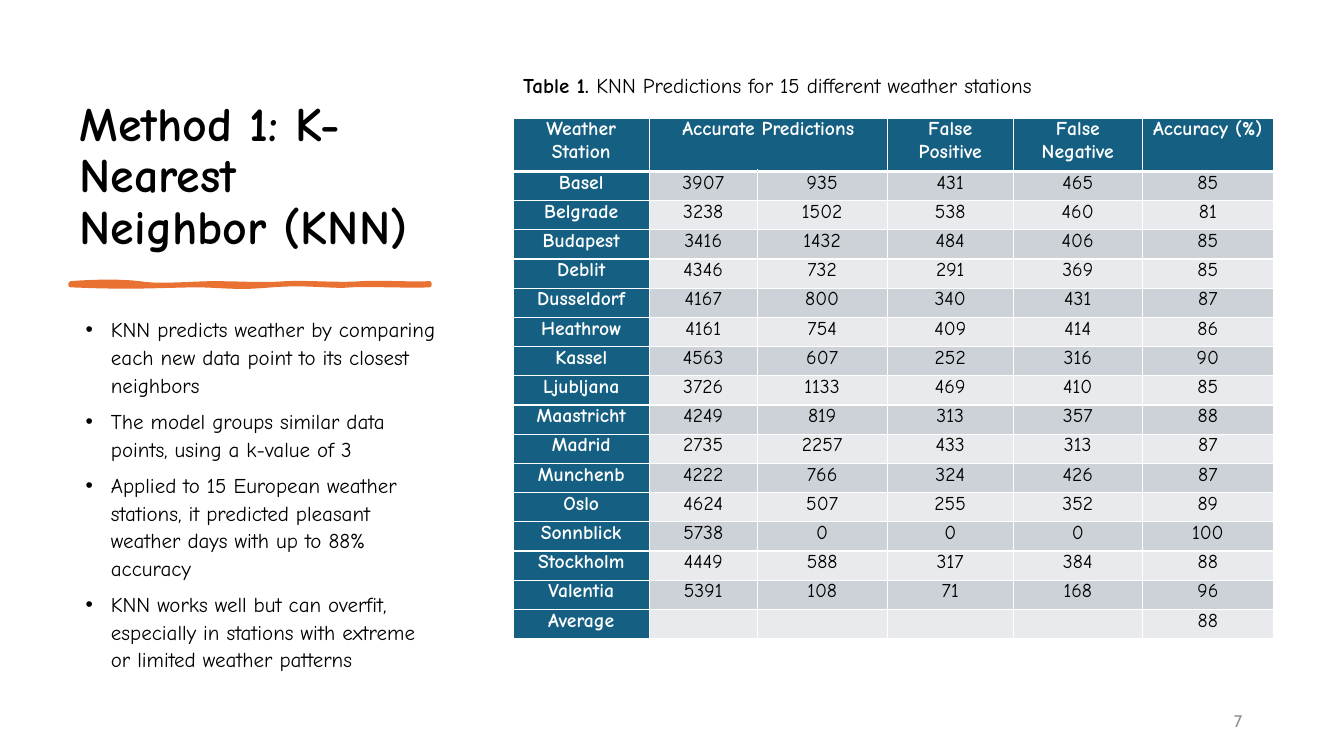
from dataclasses import dataclass
from typing import Optional

from lxml.etree import SubElement
from pptx import Presentation
from pptx.dml.color import RGBColor
from pptx.enum.text import MSO_ANCHOR, MSO_AUTO_SIZE, PP_ALIGN
from pptx.oxml.ns import qn
from pptx.util import Emu, Pt

PX = 9144  # 100 px to the inch
FONT = "Comic Neue"
BLACK, WHITE, GREY = "000000", "FFFFFF", "8C8C8C"
ORANGE, TEAL = "E97132", "156082"
BANDS = ("CCD2D8", "E8EAED")


@dataclass
class Box:
    left: int
    top: int
    width: int
    height: int

    def emu(self) -> list[Emu]:
        return [px(v) for v in (self.left, self.top, self.width, self.height)]


@dataclass
class Style:
    size: float
    color: str = BLACK
    bold: bool = False
    font: str = FONT


@dataclass
class Station:
    name: str
    values: tuple[Optional[int], ...]


TITLE = "Method 1: K-Nearest Neighbor (KNN)"
BULLETS = (
    "KNN predicts weather by comparing each new data point to its closest neighbors",
    "The model groups similar data points, using a k-value of 3",
    "Applied to 15 European weather stations, it predicted pleasant weather days "
    "with up to 88% accuracy",
    "KNN works well but can overfit, especially in stations with extreme or limited "
    "weather patterns",
)
HEADERS = ("Weather Station", "Accurate Predictions", "", "False Positive",
           "False Negative", "Accuracy (%)")
COLUMNS = (135, 107, 129, 125, 128, 130)
HEADER_HEIGHT, ROW_HEIGHT = 53, 29
STATIONS = (
    Station("Basel", (3907, 935, 431, 465, 85)),
    Station("Belgrade", (3238, 1502, 538, 460, 81)),
    Station("Budapest", (3416, 1432, 484, 406, 85)),
    Station("Deblit", (4346, 732, 291, 369, 85)),
    Station("Dusseldorf", (4167, 800, 340, 431, 87)),
    Station("Heathrow", (4161, 754, 409, 414, 86)),
    Station("Kassel", (4563, 607, 252, 316, 90)),
    Station("Ljubljana", (3726, 1133, 469, 410, 85)),
    Station("Maastricht", (4249, 819, 313, 357, 88)),
    Station("Madrid", (2735, 2257, 433, 313, 87)),
    Station("Munchenb", (4222, 766, 324, 426, 87)),
    Station("Oslo", (4624, 507, 255, 352, 89)),
    Station("Sonnblick", (5738, 0, 0, 0, 100)),
    Station("Stockholm", (4449, 588, 317, 384, 88)),
    Station("Valentia", (5391, 108, 71, 168, 96)),
    Station("Average", (None, None, None, None, 88)),
)
# Bezier points of the brush stroke: a start, then three points per curve
STROKE = (
    (70, 281), (97, 279), (121, 279), (138, 281), (155, 284), (177, 282), (209, 281),
    (241, 281), (260, 283), (284, 281), (308, 280), (339, 283), (359, 281),
    (379, 280), (412, 282), (426, 281), (426, 282), (426, 283), (426, 283),
    (408, 284), (364, 282), (348, 283), (332, 285), (304, 280), (270, 283),
    (235, 286), (231, 284), (199, 283), (166, 283), (132, 286), (70, 283),
)


def px(value: float) -> Emu:
    return Emu(round(value * PX))


def rgb(color: str) -> RGBColor:
    return RGBColor.from_string(color)


def style_run(r, style: Style) -> None:
    r.font.name, r.font.size, r.font.bold = style.font, Pt(style.size), style.bold
    r.font.color.rgb = rgb(style.color)


def place(sp, box: Box) -> None:
    sp.left, sp.top, sp.width, sp.height = box.emu()


def add_text(s, box: Box, parts: dict[str, Style]):
    """Add a one-paragraph text box and return its text frame."""
    tf = s.shapes.add_textbox(*box.emu()).text_frame
    tf.word_wrap = True
    for text, style in parts.items():
        r = tf.paragraphs[0].add_run()
        r.text = text
        style_run(r, style)
    return tf


def fill_title(sp) -> None:
    place(sp, Box(69, 70, 375, 188))
    tf = sp.text_frame
    tf.text = TITLE
    tf.auto_size = MSO_AUTO_SIZE.NONE
    tf.vertical_anchor = MSO_ANCHOR.BOTTOM
    p = tf.paragraphs[0]
    p.alignment, p.line_spacing = PP_ALIGN.LEFT, 0.9
    style_run(p.runs[0], Style(34.2, bold=True))


def fill_bullets(sp) -> None:
    place(sp, Box(69, 307, 375, 414))
    tf = sp.text_frame
    tf.text = "\n".join(BULLETS)
    tf.auto_size = MSO_AUTO_SIZE.NONE
    for p in tf.paragraphs:
        p.line_spacing, p.space_before, p.space_after = 1.1, Pt(0), Pt(6)
        pPr = p._p.get_or_add_pPr()
        pPr.set("marL", str(px(31)))
        pPr.set("indent", str(px(-25)))
        SubElement(pPr, qn("a:buFont"), typeface="Arial")
        SubElement(pPr, qn("a:buChar"), char="•")
        style_run(p.runs[0], Style(15))


def bezier(p0, p1, p2, p3, t: float) -> tuple[float, float]:
    u = 1 - t
    weights = (u ** 3, 3 * u * u * t, 3 * u * t * t, t ** 3)
    return tuple(sum(w * p[axis] for w, p in zip(weights, (p0, p1, p2, p3)))
                 for axis in (0, 1))


def draw_stroke(s, steps: int = 8) -> None:
    outline = [bezier(*STROKE[i:i + 4], n / steps)
               for i in range(0, len(STROKE) - 1, 3) for n in range(1, steps + 1)]
    start_x, start_y = STROKE[0]
    builder = s.shapes.build_freeform(px(start_x), px(start_y))
    builder.add_line_segments([(px(x), px(y)) for x, y in outline], close=True)
    sp = builder.convert_to_shape()
    sp.shadow.inherit = False
    sp.fill.solid()
    sp.fill.fore_color.rgb = rgb(ORANGE)
    sp.line.color.rgb = rgb(ORANGE)
    sp.line.width = Pt(3)


def format_cell(cell, text: str, style: Style, fill: str, bottom: float = 1) -> None:
    cell.margin_left = cell.margin_right = px(9)
    cell.margin_top = cell.margin_bottom = 0
    cell.text = text
    p = cell.text_frame.paragraphs[0]
    p.alignment = PP_ALIGN.CENTER
    for r in p.runs:
        style_run(r, style)
    if not text:
        SubElement(p._p, qn("a:endParaRPr"), sz=str(style.size * 100))
    tcPr = cell._tc.get_or_add_tcPr()
    for side, width in (("L", 1), ("R", 1), ("T", 1), ("B", bottom)):
        ln = SubElement(tcPr, qn(f"a:ln{side}"), w=str(Pt(width)))
        SubElement(SubElement(ln, qn("a:solidFill")), qn("a:srgbClr"), val=WHITE)
    cell.fill.solid()
    cell.fill.fore_color.rgb = rgb(fill)


def draw_table(s) -> None:
    height = HEADER_HEIGHT + ROW_HEIGHT * len(STATIONS)
    box = Box(509, 117, sum(COLUMNS), height)
    table = s.shapes.add_table(len(STATIONS) + 1, len(COLUMNS), *box.emu()).table
    for column, width in zip(table.columns, COLUMNS):
        column.width = px(width)
    for i, row in enumerate(table.rows):
        row.height = px(ROW_HEIGHT if i else HEADER_HEIGHT)
    head, body = Style(14, WHITE, True), Style(14)
    for c, text in enumerate(HEADERS):
        format_cell(table.cell(0, c), text, head, TEAL, bottom=3)
    table.cell(0, 1).merge(table.cell(0, 2))
    for i, station in enumerate(STATIONS):
        format_cell(table.cell(i + 1, 0), station.name, head, TEAL)
        for c, value in enumerate(station.values, 1):
            text = "" if value is None else str(value)
            format_cell(table.cell(i + 1, c), text, body, BANDS[i % 2])


def main() -> None:
    prs = Presentation()
    prs.slide_width, prs.slide_height = px(1333), px(750)
    s = prs.slides.add_slide(prs.slide_layouts[1])
    fill_title(s.shapes.title)
    draw_stroke(s)
    fill_bullets(s.placeholders[1])
    tf = add_text(s, Box(942, 695, 300, 40), {"7": Style(12, GREY, font="Cabin")})
    tf.vertical_anchor = MSO_ANCHOR.MIDDLE
    tf.paragraphs[0].alignment = PP_ALIGN.RIGHT
    draw_table(s)
    add_text(s, Box(509, 67, 625, 35), {
        "Table 1. ": Style(15, bold=True),
        "KNN Predictions for 15 different weather stations": Style(15),
    })
    prs.save("out.pptx")


if __name__ == "__main__":
    main()
